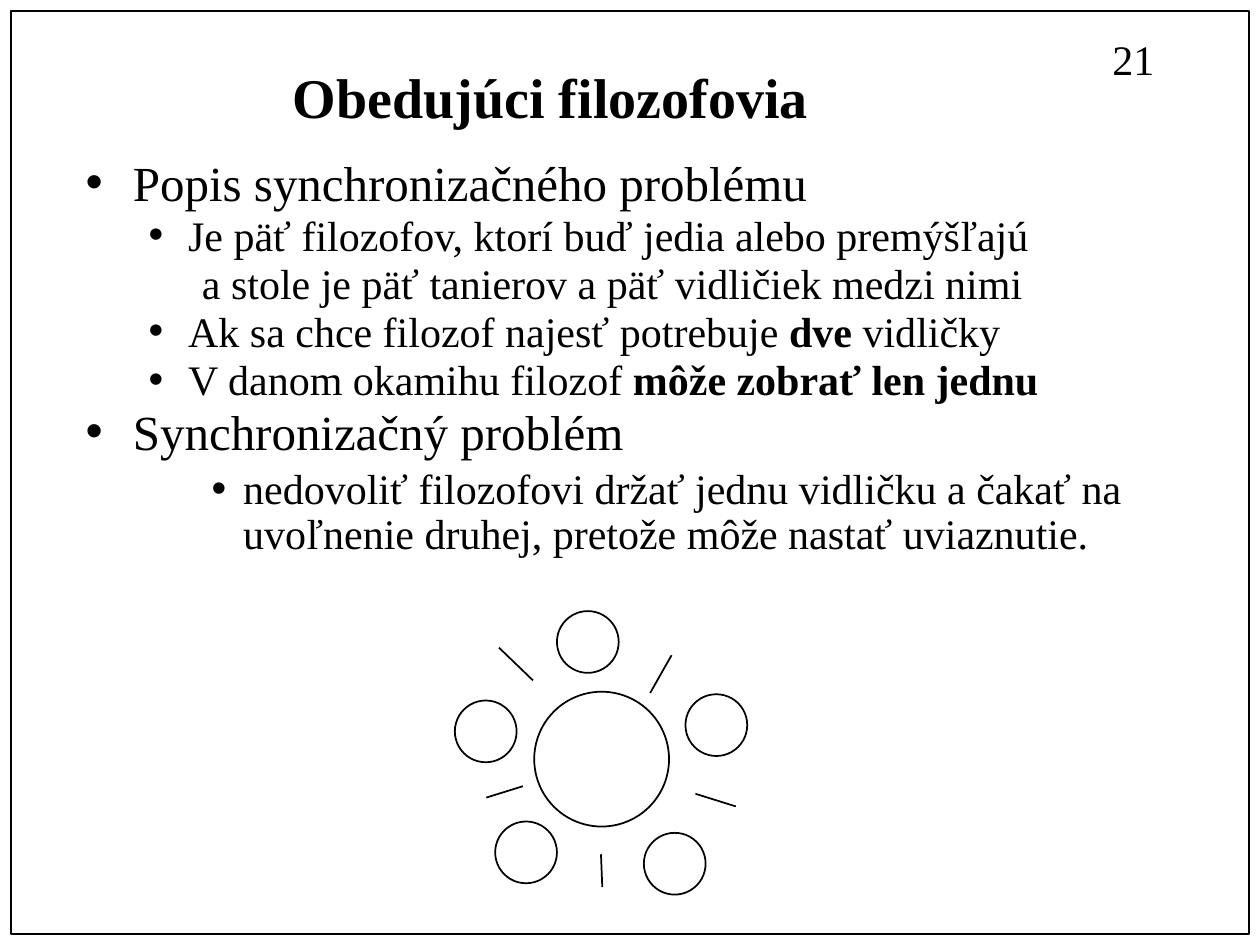
from lxml.etree import SubElement
from pptx import Presentation
from pptx.dml.color import RGBColor
from pptx.enum.shapes import MSO_CONNECTOR, MSO_SHAPE
from pptx.enum.text import MSO_ANCHOR, MSO_AUTO_SIZE, PP_ALIGN
from pptx.oxml.ns import qn
from pptx.util import Inches, Pt

COLS, ROWS = 100, 75
LEVELS = {
    0: dict(size=28, left=3.75, hang=3.75, spacing=0.8, before=5.2),
    1: dict(size=24, left=8.13, hang=3.13, spacing=0.8, before=4.5),
    2: dict(size=24, left=12.5, hang=2.5, spacing=0.9, before=4.5),
}


def color(value):
    return RGBColor.from_string(value)


def add_run(p, text, size=24, bold=False, font="Times New Roman", ink="000000"):
    r = p.add_run()
    r.text = text
    r.font.size = Pt(size)
    r.font.bold = bold
    r.font.name = font
    r.font.color.rgb = color(ink)
    return r


class SlideBuilder:
    ink = "000000"
    line_width = 1

    def __init__(self, prs):
        self.unit_x = prs.slide_width / COLS
        self.unit_y = prs.slide_height / ROWS
        self.slide = prs.slides.add_slide(prs.slide_layouts[1])
        self.shapes = self.slide.shapes

    def x(self, cols):
        return round(cols * self.unit_x)

    def y(self, rows):
        return round(rows * self.unit_y)

    def box(self, left, top, width, height):
        return self.x(left), self.y(top), self.x(width), self.y(height)

    def place(self, sp, *box):
        sp.left, sp.top, sp.width, sp.height = self.box(*box)
        tf = sp.text_frame
        tf.auto_size = MSO_AUTO_SIZE.NONE
        tf.word_wrap = True
        return tf

    def title(self, text, *box):
        tf = self.place(self.shapes.title, *box)
        tf.vertical_anchor = MSO_ANCHOR.MIDDLE
        tf.margin_right = self.x(20.2)
        tf.margin_top = self.y(2.4)
        p = tf.paragraphs[0]
        p.alignment = PP_ALIGN.CENTER
        add_run(p, text, size=32, bold=True)

    def bullets(self, items, *box):
        tf = self.place(self.slide.placeholders[1], *box)
        tf.vertical_anchor = MSO_ANCHOR.TOP
        for i, (level, bullet, runs) in enumerate(items):
            p = tf.paragraphs[0] if i == 0 else tf.add_paragraph()
            style = LEVELS[level]
            p.level = level
            p.line_spacing = style["spacing"]
            p.space_before = Pt(style["before"] if i else 0)
            self.indent(p, style, bullet)
            for text, bold in runs:
                add_run(p, text, size=style["size"], bold=bold)

    def indent(self, p, style, bullet):
        pPr = p._p.get_or_add_pPr()
        left = style["left"] if bullet else style["left"] + 1.1
        pPr.set("marL", str(self.x(left)))
        pPr.set("indent", str(self.x(-style["hang"] if bullet else 0)))
        if bullet:
            SubElement(pPr, qn("a:buChar")).set("char", "•")
        else:
            SubElement(pPr, qn("a:buNone"))

    def text(self, text, *box):
        sp = self.shapes.add_textbox(*self.box(*box))
        sp.text_frame.word_wrap = False
        add_run(sp.text_frame.paragraphs[0], text)

    def outline(self, shapes, kind, *box):
        sp = shapes.add_shape(kind, *self.box(*box))
        sp.shadow.inherit = False
        sp.fill.background()
        sp.line.color.rgb = color(self.ink)
        sp.line.width = Pt(self.line_width)

    def circle(self, shapes, left, top, size):
        self.outline(shapes, MSO_SHAPE.OVAL, left, top, size, size)

    def line(self, shapes, x1, y1, x2, y2):
        ln = shapes.add_connector(MSO_CONNECTOR.STRAIGHT, self.x(x1), self.y(y1),
                                  self.x(x2), self.y(y2))
        ln.line.color.rgb = color(self.ink)
        ln.line.width = Pt(self.line_width)
        SubElement(ln._element.spPr, qn("a:effectLst"))

    def dining_table(self, table, plates, plate_size, forks):
        shapes = self.shapes.add_group_shape().shapes
        for left, top in plates:
            self.circle(shapes, left, top, plate_size)
        self.circle(shapes, *table)
        for fork in forks:
            self.line(shapes, *fork)


def main():
    prs = Presentation()
    prs.slide_width, prs.slide_height = Inches(10), Inches(7.5)
    s = SlideBuilder(prs)
    s.outline(s.shapes, MSO_SHAPE.RECTANGLE, 0.9, 0.9, 98.2, 73.2)
    s.text("21", 87.3, 2.2, 15.9, 5)
    s.title("Obedujúci filozofovia", 18.3, 2.5, 70, 8.3)
    s.bullets([
        (0, True, [("Popis synchronizačného problému", False)]),
        (1, True, [("Je päť filozofov, ktorí buď jedia alebo premýšľajú", False)]),
        (1, False, [("a stole je päť tanierov a päť vidličiek medzi nimi", False)]),
        (1, True, [("Ak sa chce filozof najesť potrebuje ", False), ("dve", True),
                   (" vidličky", False)]),
        (1, True, [("V danom okamihu filozof ", False),
                   ("môže zobrať len jednu", True)]),
        (0, True, [("Synchronizačný problém", False)]),
        (2, True, [("nedovoliť filozofovi držať jednu vidličku a čakať na "
                    "uvoľnenie druhej, pretože môže nastať uviaznutie.", False)]),
    ], 5.8, 12.5, 87.5, 33.3)
    s.dining_table(
        table=(42.4, 54.9, 10.7),
        plates=[(44.2, 48.5), (39.3, 65.2), (36.1, 55.6), (51.1, 66.1), (54.4, 55.1)],
        plate_size=4.9,
        forks=[(53.3, 52, 51.6, 55), (39.6, 51.4, 42.3, 54), (38.6, 63.3, 41.5, 62.4),
               (47.8, 70.4, 47.7, 67.8), (58.4, 64, 55.2, 63)],
    )
    prs.save("out.pptx")


if __name__ == "__main__":
    main()
